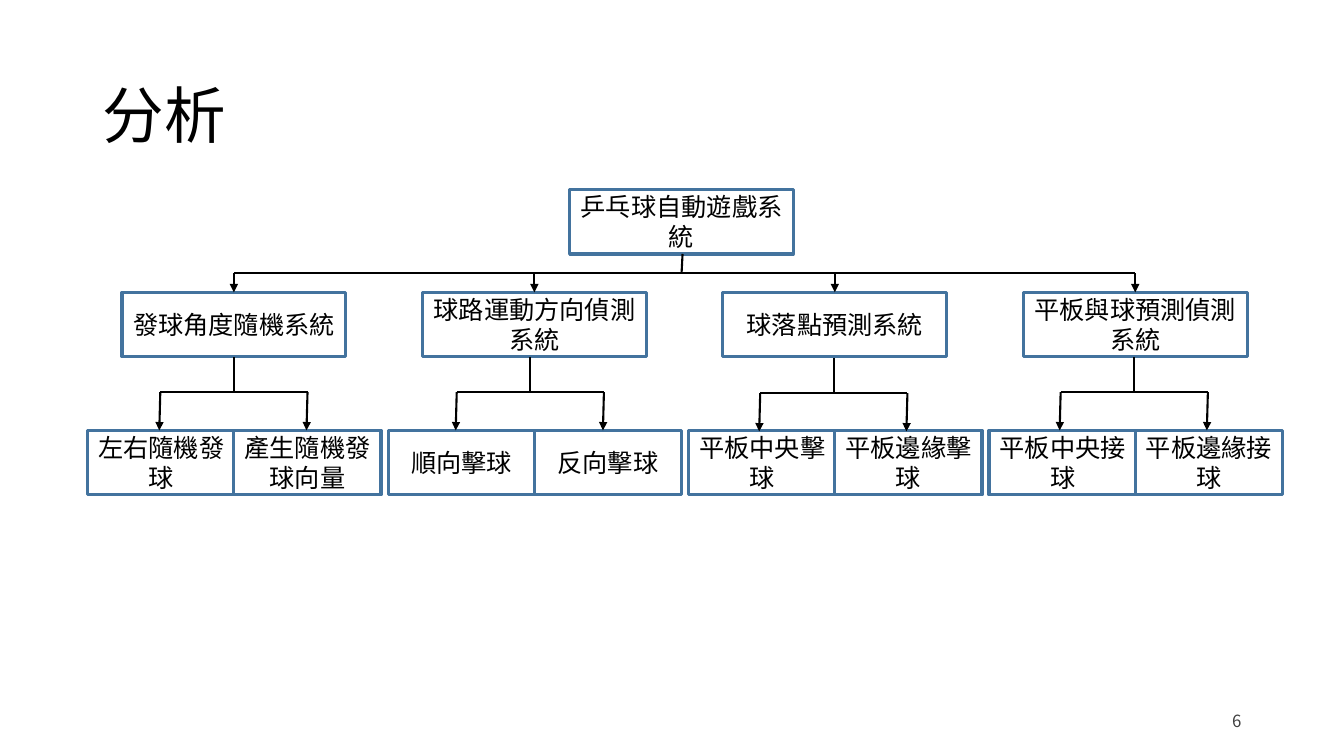
from pptx import Presentation
from pptx.dml.color import RGBColor
from pptx.enum.shapes import MSO_CONNECTOR as CONN, MSO_SHAPE as SHAPE
from pptx.enum.text import MSO_ANCHOR as ANCHOR, PP_ALIGN as ALIGN
from pptx.oxml.ns import qn
from pptx.util import Inches, Pt
from lxml.etree import SubElement


def rgb(value):
    return RGBColor.from_string(value)


class Chart:
    black = "000000"
    grey = "404040"
    white = "FFFFFF"
    blue = "43739E"
    plain_font = "Noto Sans CJK TC"
    box_font = "Quicksand"

    def __init__(self, s):
        self.s = s

    def add_text(self, sp, text, size, font, color, align):
        tf = sp.text_frame
        tf.word_wrap = True
        tf.vertical_anchor = ANCHOR.MIDDLE
        p = tf.paragraphs[0]
        p.alignment = align
        r = p.add_run()
        r.text = text
        r.font.size = Pt(size)
        r.font.name = font
        r.font.color.rgb = rgb(color)
        SubElement(r._r.get_or_add_rPr(), qn("a:ea"), typeface=font)

    def label(self, x, y, w, h, text, size, color, align):
        sp = self.s.shapes.add_textbox(Inches(x), Inches(y), Inches(w), Inches(h))
        self.add_text(sp, text, size, self.plain_font, color, align)

    def box(self, x, y, w, text):
        sp = self.s.shapes.add_shape(
            SHAPE.RECTANGLE, Inches(x), Inches(y), Inches(w), Inches(BOX_H))
        sp.shadow.inherit = False
        sp.fill.solid()
        sp.fill.fore_color.rgb = rgb(self.white)
        sp.line.color.rgb = rgb(self.blue)
        sp.line.width = Pt(2.25)
        self.add_text(sp, text, 18, self.box_font, self.black, ALIGN.CENTER)

    def line(self, x1, y1, x2, y2, arrow=False):
        sp = self.s.shapes.add_connector(
            CONN.STRAIGHT, Inches(x1), Inches(y1), Inches(x2), Inches(y2))
        sp.line.color.rgb = rgb(self.black)
        sp.line.width = Pt(1.5)
        pr = sp._element.spPr
        if arrow:
            SubElement(pr.find(qn("a:ln")), qn("a:tailEnd"), type="triangle")
        SubElement(pr, qn("a:effectLst"))


BOX_H = 0.64
BOX_W = 2.22
LEAF_W = 1.46
LEAF_STEP = 1.45
FIRST_CENTER = 2.32
PITCH = 2.98
ROOT_Y, BRANCH_Y, LEAF_Y = 1.88, 2.9, 4.27
ROOT_BAR_Y, LEAF_BAR_Y = 2.71, 3.89
BAR_HALF = 0.73

BRANCHES = [
    ("發球角度隨機系統", ["左右隨機發球", "產生隨機發球向量"], 2.32, 0),
    ("球路運動方向偵測系統", ["順向擊球", "反向擊球"], 5.26, 0),
    ("球落點預測系統", ["平板中央擊球", "平板邊緣擊球"], 8.27, 0.01),
    ("平板與球預測偵測系統", ["平板中央接球", "平板邊緣接球"], 11.25, 0),
]

prs = Presentation()
prs.slide_width = Inches(13.33)
prs.slide_height = Inches(7.5)
chart = Chart(prs.slides.add_slide(prs.slide_layouts[6]))

chart.label(0.92, 0.4, 11.5, 1.45, "分析", 44, chart.black, ALIGN.LEFT)
chart.box(5.65, ROOT_Y, BOX_W, "乒乓球自動遊戲系統")
chart.line(6.77, ROOT_Y + BOX_H, 6.76, ROOT_BAR_Y)
last_center = FIRST_CENTER + PITCH * (len(BRANCHES) - 1)
chart.line(FIRST_CENTER, ROOT_BAR_Y, last_center, ROOT_BAR_Y)

for i, (name, leaves, stem, drop) in enumerate(BRANCHES):
    center = FIRST_CENTER + PITCH * i
    bar_y = LEAF_BAR_Y + drop
    chart.box(center - BOX_W / 2, BRANCH_Y, BOX_W, name)
    chart.line(center, ROOT_BAR_Y, center, BRANCH_Y, arrow=True)
    for j, leaf in enumerate(leaves):
        chart.box(center + LEAF_STEP * (j - 1), LEAF_Y, LEAF_W, leaf)
    chart.line(stem, BRANCH_Y + BOX_H + drop, stem, bar_y)
    chart.line(stem - BAR_HALF, bar_y, stem + BAR_HALF, bar_y)
    for x in (stem - BAR_HALF, stem + BAR_HALF):
        chart.line(x, bar_y, x - 0.01, LEAF_Y + drop, arrow=True)

chart.label(8.83, 6.95, 3.58, 0.4, "6", 12, chart.grey, ALIGN.RIGHT)

prs.save("out.pptx")
